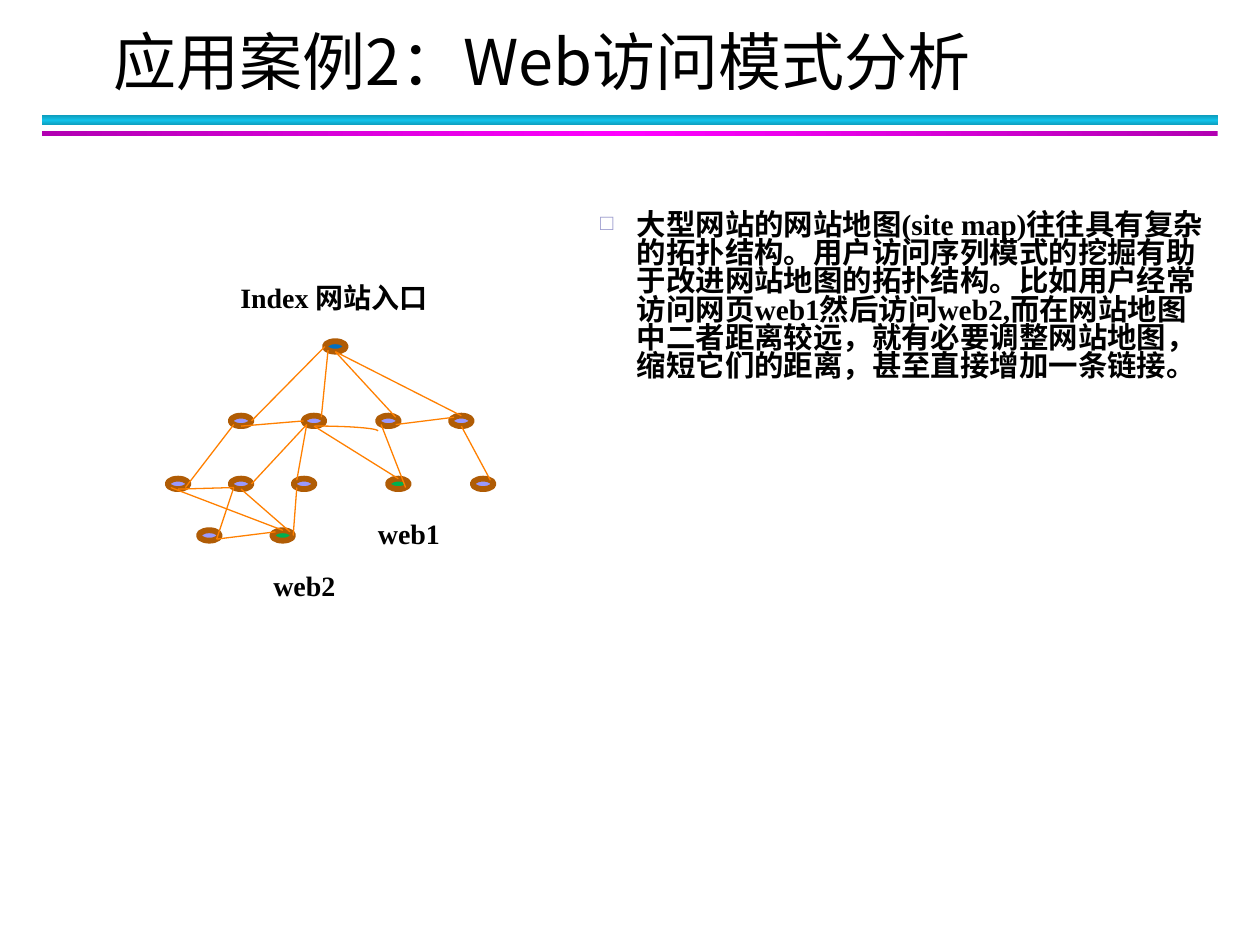
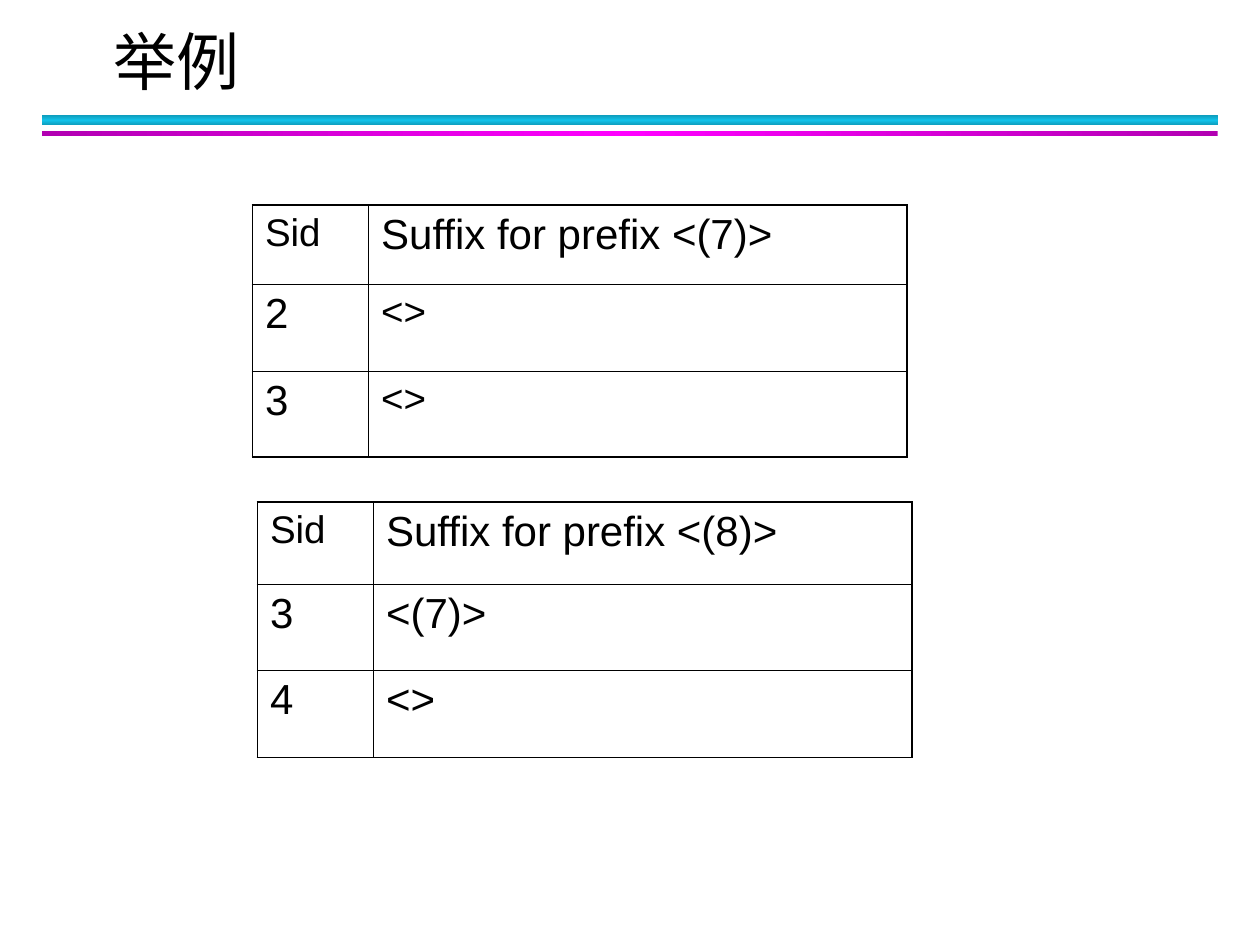
from copy import deepcopy
from math import cos, pi, sin

from lxml.etree import SubElement
from pptx import Presentation
from pptx.dml.color import RGBColor
from pptx.enum.shapes import MSO_CONNECTOR, MSO_SHAPE
from pptx.enum.text import MSO_ANCHOR, MSO_AUTO_SIZE, PP_ALIGN
from pptx.oxml.ns import qn
from pptx.util import Cm, Pt

BLACK = "000000"
LILAC, BLUE, GREEN = "9999FF", "0070C0", "00B050"
BROWN, ORANGE = "B05C05", "FF8000"
SANS, SERIF, PLAIN = "Noto Sans CJK SC", "Times New Roman", "Arial"
NODE_W, NODE_H = 0.42, 0.21

SITES = {"T": (0.5, 0), "L": (0, 0.5), "B": (0.5, 1), "R": (1, 0.5),
         "TL": (0.15, 0.15), "TR": (0.85, 0.15),
         "BL": (0.15, 0.85), "BR": (0.85, 0.85)}

NODES = {"root": (6.55, 6.88, BLUE),
         "a1": (4.65, 8.38, LILAC), "a2": (6.12, 8.38, LILAC),
         "a3": (7.62, 8.38, LILAC), "a4": (9.09, 8.38, LILAC),
         "b1": (3.38, 9.65, LILAC), "b2": (4.65, 9.65, LILAC),
         "b3": (5.92, 9.65, LILAC), "b4": (7.82, 9.65, GREEN),
         "b5": (9.53, 9.65, LILAC),
         "c1": (4.01, 10.69, LILAC), "c2": (5.49, 10.69, GREEN)}

LINKS = [("root", "L", "a1", "R"), ("root", "BL", "a2", "TR"),
         ("root", "B", "a3", "TR"), ("root", "B", "a4", "T"),
         ("a1", "BL", "b1", "BR"), ("a2", "BL", "b2", "R"),
         ("a3", "BL", "b4", "BR"), ("a2", "BL", "b3", "TL"),
         ("a4", "B", "b5", "TR"), ("a1", "B", "a2", "L"),
         ("a3", "BR", "a4", "TL"), ("a2", "B", "b4", "T"),
         ("b2", "BL", "c1", "BR"), ("b2", "B", "c2", "TR"),
         ("b3", "BL", "c2", "R"), ("b1", "BL", "c2", "T"),
         ("c1", "BR", "c2", "TL"), ("b1", "B", "b2", "BL")]

LABELS = [("Index 网站入口", 4.19, 5.54, 5.08),
          ("web1", 7.19, 10.29, 2.11),
          ("web2", 5.08, 11.33, 2.11)]

NOTE = ("大型网站的网站地图(site map)往往具有复杂的拓扑结构。"
        "用户访问序列模式的挖掘有助于改进网站地图的拓扑结构。"
        "比如用户经常访问网页web1然后访问web2,而在网站地图中二者距离较远，"
        "就有必要调整网站地图，缩短它们的距离，甚至直接增加一条链接。")


def rgb(code):
    return RGBColor.from_string(code)


def style(frame, size, face, bold=False):
    for run in frame.paragraphs[0].runs:
        font = run.font
        font.size, font.name, font.bold = Pt(size), face, bold
        font.color.rgb = rgb(BLACK)
        SubElement(run._r.get_or_add_rPr(), qn("a:ea"), typeface=SANS)


def place(shape, left, top, width, height):
    shape.left, shape.top = Cm(left), Cm(top)
    shape.width, shape.height = Cm(width), Cm(height)


def add_band(slide, top, height, edge, core, angle):
    band = slide.shapes.add_shape(MSO_SHAPE.RECTANGLE, Cm(0.84), Cm(top),
                                  Cm(23.71), Cm(height))
    band.shadow.inherit = False
    band.line.fill.background()
    band.fill.gradient()
    band.fill.gradient_angle = angle
    stops = band._element.spPr.find(".//" + qn("a:gsLst"))
    stops.insert(1, deepcopy(stops[0]))
    for stop, spot, tint in zip(band.fill.gradient_stops, (0, 0.5, 1),
                                (edge, core, edge)):
        stop.position = spot
        stop.color.rgb = rgb(tint)


def add_slide(deck, layout, title):
    slide = deck.slides.add_slide(deck.slide_layouts[layout])
    add_band(slide, 2.32, 0.21, "0E9BBA", "12C2E9", 90)
    add_band(slide, 2.64, 0.1, "B200B2", "FF00FF", 0)
    head = slide.shapes.title
    place(head, 2.03, 0.46, 22.86, 1.52)
    frame = head.text_frame
    frame.text = title
    frame.auto_size = MSO_AUTO_SIZE.NONE
    frame.vertical_anchor = MSO_ANCHOR.MIDDLE
    frame.paragraphs[0].alignment = PP_ALIGN.LEFT
    style(frame, 36, SANS)
    return slide


def fill_note(body):
    place(body, 11.59, 4.04, 13.02, 5.46)
    frame = body.text_frame
    frame.text = NOTE
    frame.auto_size = MSO_AUTO_SIZE.NONE
    frame.margin_left, frame.margin_top = Cm(0.51), Cm(0.25)
    para = frame.paragraphs[0]
    props = para._p.get_or_add_pPr()
    props.set("marL", str(Cm(0.74)))
    props.set("indent", str(-Cm(0.74)))
    tint = SubElement(props, qn("a:buClr"))
    SubElement(tint, qn("a:srgbClr"), val="9999CC")
    SubElement(props, qn("a:buSzPct"), val="75000")
    SubElement(props, qn("a:buFont"), typeface=SERIF)
    SubElement(props, qn("a:buChar"), char="□")
    para.line_spacing = 0.8
    para.space_before = Pt(0)
    style(frame, 16.8, SERIF, True)


def add_node(slide, left, top, tint):
    node = slide.shapes.add_shape(MSO_SHAPE.OVAL, Cm(left), Cm(top),
                                  Cm(NODE_W), Cm(NODE_H))
    node.shadow.inherit = False
    node.fill.solid()
    node.fill.fore_color.rgb = rgb(tint)
    node.line.color.rgb = rgb(BROWN)
    node.line.width = Pt(3.34)


def find_site(name, site):
    left, top, _ = NODES[name]
    across, down = SITES[site]
    return Cm(left + across * NODE_W), Cm(top + down * NODE_H)


def paint_line(shape):
    shape.line.color.rgb = rgb(ORANGE)
    shape.line.width = Pt(0.75)


def add_link(slide, start, out, end, into):
    link = slide.shapes.add_connector(
        MSO_CONNECTOR.STRAIGHT, *find_site(start, out), *find_site(end, into))
    paint_line(link)
    SubElement(link._element.spPr, qn("a:effectLst"))


def add_arc(slide, left, top, width, height, steps=16):
    turns = [pi / 2 * step / steps for step in range(steps + 1)]
    points = [(Cm(left + width * sin(turn)), Cm(top + height * (1 - cos(turn))))
              for turn in turns]
    pen = slide.shapes.build_freeform(*points[0])
    pen.add_line_segments(points[1:], close=False)
    arc = pen.convert_to_shape()
    arc.shadow.inherit = False
    arc.fill.background()
    paint_line(arc)


def add_label(slide, text, left, top, width):
    label = slide.shapes.add_textbox(Cm(left), Cm(top), Cm(width), Cm(0.94))
    frame = label.text_frame
    frame.word_wrap = True
    frame.text = text
    frame.paragraphs[0].alignment = PP_ALIGN.CENTER
    style(frame, 16, SERIF, True)


def add_edge(cell, side, width):
    edge = SubElement(cell._tc.get_or_add_tcPr(), qn("a:ln" + side),
                      w=str(Pt(width)))
    paint = SubElement(edge, qn("a:solidFill"))
    SubElement(paint, qn("a:srgbClr"), val=BLACK)


def add_grid(slide, left, top, heights, rows):
    widths = (2.34, 10.86)
    grid = slide.shapes.add_table(len(rows), len(widths), Cm(left), Cm(top),
                                  Cm(sum(widths)), Cm(sum(heights))).table
    grid.first_row = grid.horz_banding = False
    for col, width in zip(grid.columns, widths):
        col.width = Cm(width)
    for r, (height, row) in enumerate(zip(heights, rows)):
        grid.rows[r].height = Cm(height)
        for c, (text, size) in enumerate(row):
            cell = grid.cell(r, c)
            cell.text = text
            style(cell.text_frame, size, PLAIN)
            outer = {"L": c == 0, "R": c == len(widths) - 1,
                     "T": r == 0, "B": r == len(rows) - 1}
            for side, rim in outer.items():
                add_edge(cell, side, 1.08 if rim else 0.45)
            cell.fill.background()


def main():
    deck = Presentation()
    deck.slide_width, deck.slide_height = Cm(25.4), Cm(19.05)

    site = add_slide(deck, 1, "应用案例2：Web访问模式分析")
    fill_note(site.placeholders[1])
    for node in NODES.values():
        add_node(site, *node)
    for link in LINKS:
        add_link(site, *link)
    add_arc(site, 6.35, 8.59, 1.27, 0.1)
    for label in LABELS:
        add_label(site, *label)

    case = add_slide(deck, 5, "举例")
    add_grid(case, 5.09, 4.13, (1.6, 1.75, 1.73),
             [[("Sid", 22), ("Suffix for prefix <(7)>", 24)],
              [("2", 24), ("<>", 22)],
              [("3", 24), ("<>", 22)]])
    add_grid(case, 5.19, 10.12, (1.65, 1.75, 1.75),
             [[("Sid", 22), ("Suffix for prefix <(8)>", 24)],
              [("3", 24), ("<(7)>", 24)],
              [("4", 24), ("<>", 24)]])
    deck.save("out.pptx")


if __name__ == "__main__":
    main()
